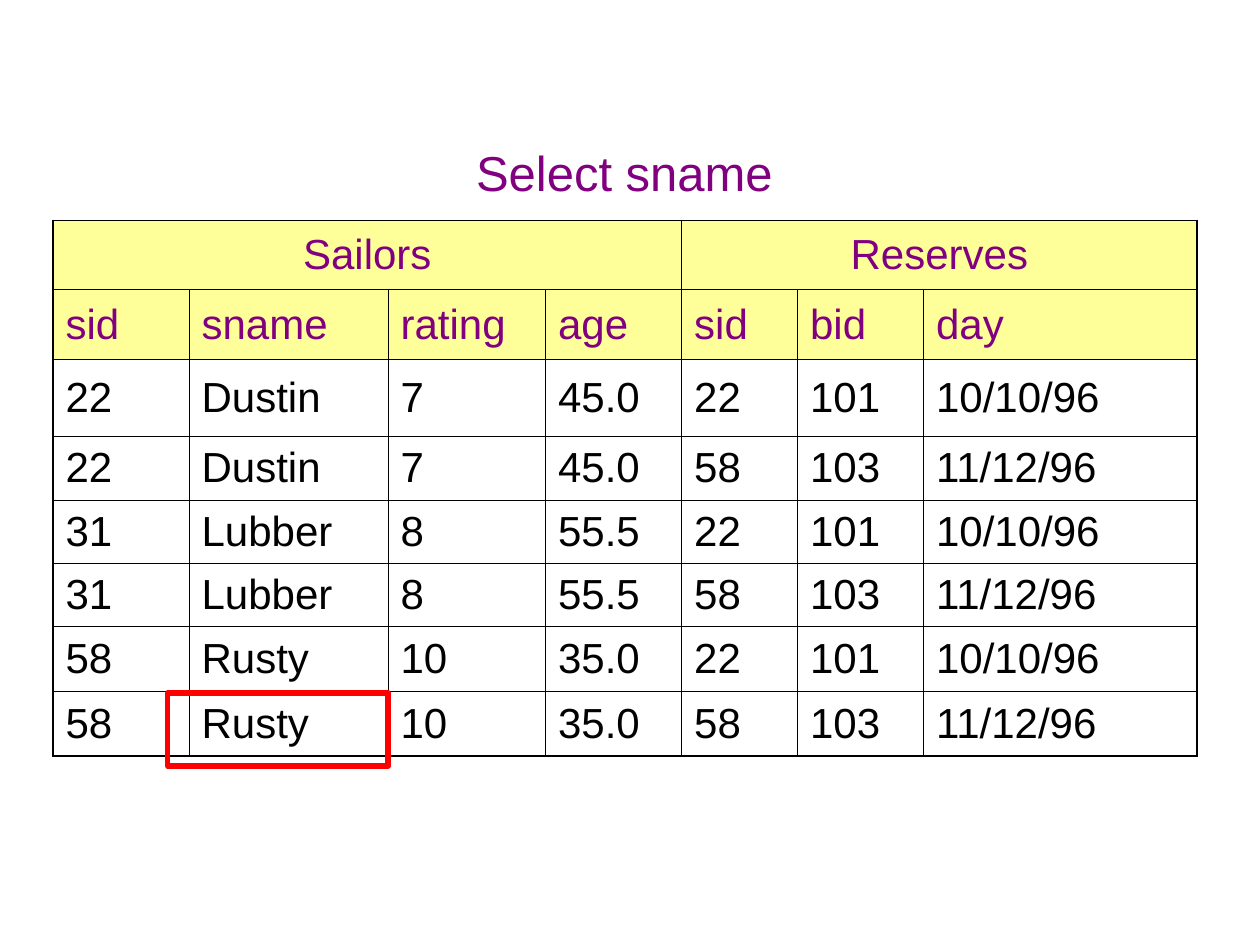
from dataclasses import dataclass
from itertools import product

from lxml import etree
from pptx import Presentation
from pptx.dml.color import RGBColor
from pptx.enum.shapes import MSO_SHAPE
from pptx.enum.text import MSO_ANCHOR, MSO_AUTO_SIZE, PP_ALIGN
from pptx.oxml.ns import qn
from pptx.util import Inches, Pt

RECTANGLE = MSO_SHAPE.RECTANGLE
MIDDLE = MSO_ANCHOR.MIDDLE
FIT_SHAPE = MSO_AUTO_SIZE.SHAPE_TO_FIT_TEXT
LEFT, CENTER = PP_ALIGN.LEFT, PP_ALIGN.CENTER


@dataclass(frozen=True)
class Theme:
    font: str = "Arial"
    heading: str = "800080"
    body: str = "000000"
    header_fill: str = "FFFF99"
    border: str = "000000"
    highlight: str = "FF0000"
    title_size: int = 28
    table_size: int = 24
    inner_border: float = 0.45
    outer_border: float = 1.08
    highlight_width: int = 3


class SlideBuilder:
    def __init__(self, slide, theme):
        self.slide = slide
        self.theme = theme

    def add_text(self, frame, text, size, color, align):
        paragraph = frame.paragraphs[0]
        paragraph.alignment = align
        run = paragraph.add_run()
        run.text = text
        run.font.name = self.theme.font
        run.font.size = Pt(size)
        run.font.color.rgb = RGBColor.from_string(color)

    def title(self, text, *box):
        shape = self.slide.shapes.add_textbox(*map(Inches, box))
        shape.text_frame.word_wrap = True
        shape.text_frame.auto_size = FIT_SHAPE
        self.add_text(shape.text_frame, text, self.theme.title_size, self.theme.heading, CENTER)

    def highlight(self, *box):
        shape = self.slide.shapes.add_shape(RECTANGLE, *map(Inches, box))
        shape.shadow.inherit = False
        shape.fill.background()
        shape.line.color.rgb = RGBColor.from_string(self.theme.highlight)
        shape.line.width = Pt(self.theme.highlight_width)

    def border(self, cell, side, is_outer):
        width = self.theme.outer_border if is_outer else self.theme.inner_border
        properties = cell._tc.get_or_add_tcPr()
        line = etree.SubElement(properties, qn(f"a:ln{side}"), w=str(Pt(width)))
        fill = etree.SubElement(line, qn("a:solidFill"))
        etree.SubElement(fill, qn("a:srgbClr"), val=self.theme.border)

    def table(self, left, top, widths, heights, groups, rows):
        row_count, column_count = len(heights), len(widths)
        table = self.slide.shapes.add_table(
            row_count, column_count, Inches(left), Inches(top),
            Inches(sum(widths)), Inches(sum(heights))).table
        table.first_row = table.horz_banding = False
        for column, width in zip(table.columns, widths):
            column.width = Inches(width)
        for row, height in zip(table.rows, heights):
            row.height = Inches(height)

        start = 0
        for name, span in groups:
            cell = table.cell(0, start)
            cell.merge(table.cell(0, start + span - 1))
            self.add_text(cell.text_frame, name, self.theme.table_size, self.theme.heading, CENTER)
            start += span
        for row_index, values in enumerate(rows, 1):
            color = self.theme.heading if row_index == 1 else self.theme.body
            for column_index, value in enumerate(values):
                frame = table.cell(row_index, column_index).text_frame
                self.add_text(frame, value, self.theme.table_size, color, LEFT)

        for row, column in product(range(row_count), range(column_count)):
            cell = table.cell(row, column)
            cell.vertical_anchor = MIDDLE
            self.border(cell, "L", column == 0)
            self.border(cell, "R", column + cell.span_width == column_count)
            self.border(cell, "T", row == 0)
            self.border(cell, "B", row == row_count - 1)
            if row < 2:
                cell.fill.solid()
                cell.fill.fore_color.rgb = RGBColor.from_string(self.theme.header_fill)
            else:
                cell.fill.background()


def main():
    presentation = Presentation()
    presentation.slide_width, presentation.slide_height = Inches(10), Inches(7.5)
    slide = presentation.slides.add_slide(presentation.slide_layouts[6])
    builder = SlideBuilder(slide, Theme())

    sailor_fields = ("sid", "sname", "rating", "age")
    reserve_fields = ("sid", "bid", "day")
    sailors = [
        ("22", "Dustin", "7", "45.0"),
        ("31", "Lubber", "8", "55.5"),
        ("58", "Rusty", "10", "35.0"),
    ]
    reserves = [("22", "101", "10/10/96"), ("58", "103", "11/12/96")]
    joined = [sailor + reserve for sailor, reserve in product(sailors, reserves)]

    builder.table(
        0.42, 1.75,
        widths=[1.08, 1.58, 1.25, 1.08, 0.92, 1, 2.17],
        heights=[0.55, 0.55, 0.61, 0.51, 0.5, 0.5, 0.52, 0.51],
        groups=[("Sailors", len(sailor_fields)), ("Reserves", len(reserve_fields))],
        rows=[sailor_fields + reserve_fields] + joined)
    builder.highlight(1.33, 5.5, 1.75, 0.58)
    builder.title("Select sname", 2.33, 1.08, 5.25, 1.04)
    presentation.save("out.pptx")


if __name__ == "__main__":
    main()
